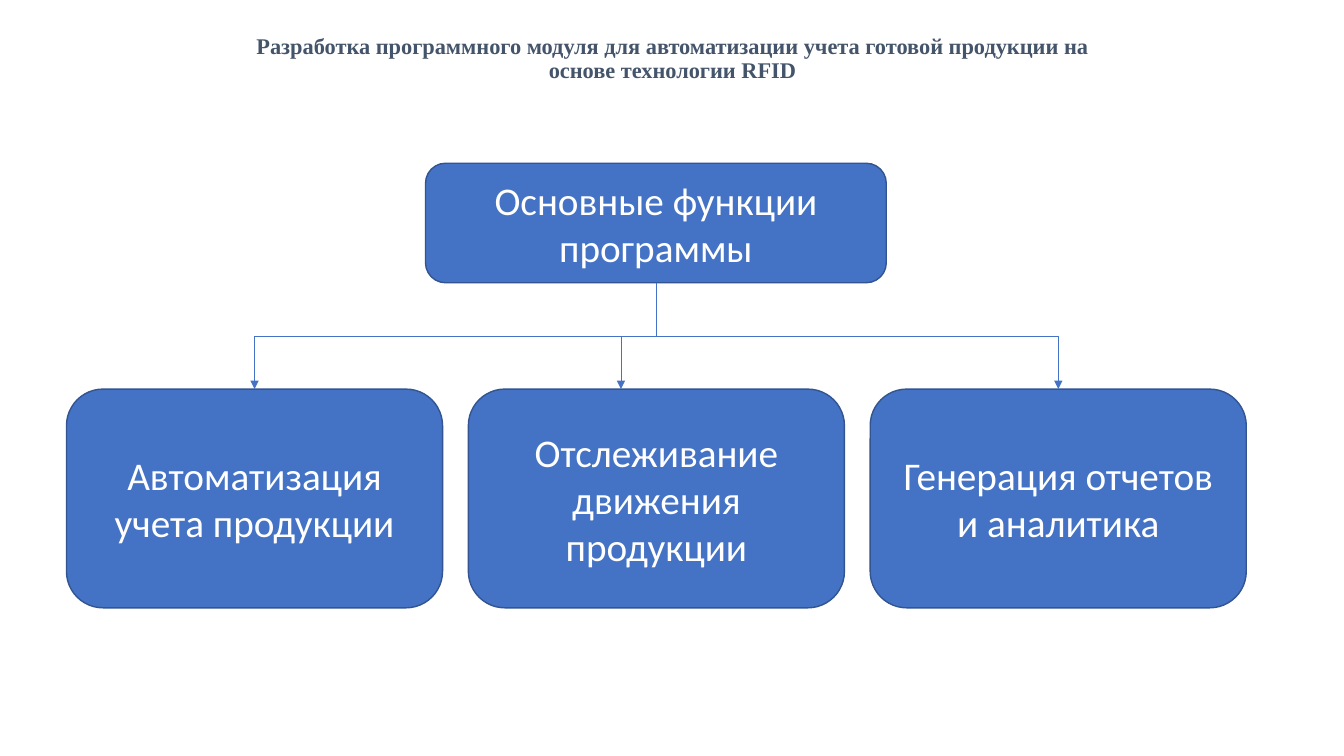
"""Build the slide on the main functions of the RFID product accounting program."""
from dataclasses import dataclass

from lxml.etree import SubElement
from pptx import Presentation
from pptx.dml.color import RGBColor
from pptx.enum.shapes import MSO_CONNECTOR as Connector, MSO_SHAPE as Preset
from pptx.enum.text import MSO_ANCHOR as Anchor, MSO_AUTO_SIZE as AutoSize, PP_ALIGN as Align
from pptx.oxml.ns import qn
from pptx.slide import Slide
from pptx.text.text import TextFrame
from pptx.util import Inches, Pt

SLIDE_WIDTH, SLIDE_HEIGHT = Inches(13.33), Inches(7.5)
COLORS = {"heading": "44546A", "box": "4472C4", "outline": "325491", "label": "FFFFFF"}
QUARTER_TURN = 90 * 60000
CARD_LEFT, CARD_PITCH, CARD_WIDTH = 4.95, 29.9, 27.98
CARD_TOP, CARD_HEIGHT = 51.47, 28.93


@dataclass(frozen=True)
class Box:
    """A labelled area in percent of the slide's width and height."""
    text: str
    left: float
    top: float
    width: float
    height: float

    @property
    def center(self) -> float:
        return self.left + self.width / 2

    @property
    def bottom(self) -> float:
        return self.top + self.height

    def frame(self) -> tuple[int, int, int, int]:
        return across(self.left), down(self.top), across(self.width), down(self.height)


@dataclass(frozen=True)
class Function:
    """A program function and the shift of its arrow from the card's center."""
    text: str
    arrow_shift: float = 0


HEADING = Box(
    "Разработка программного модуля для автоматизации учета готовой продукции "
    "на основе технологии RFID", 16.28, 3.73, 67.52, 8.13)
ROOT = Box("Основные функции программы", 31.66, 21.6, 34.28, 15.8)
FUNCTIONS = (
    Function("Автоматизация учета продукции"),
    Function("Отслеживание движения продукции", -2.64),
    Function("Генерация отчетов и аналитика"),
)


def across(percent: float) -> int:
    """Turn a share of the slide's width into a length."""
    return round(SLIDE_WIDTH * percent / 100)


def down(percent: float) -> int:
    """Turn a share of the slide's height into a length."""
    return round(SLIDE_HEIGHT * percent / 100)


def rgb(role: str) -> RGBColor:
    """Look up a color by its role."""
    return RGBColor.from_string(COLORS[role])


def write(frame: TextFrame, text: str, font_name: str, size: int, role: str, bold: bool) -> None:
    """Fill a text frame with one centered paragraph."""
    frame.text = text
    frame.word_wrap = True
    frame.auto_size = AutoSize.NONE
    frame.vertical_anchor = Anchor.MIDDLE
    paragraph = frame.paragraphs[0]
    paragraph.alignment = Align.CENTER
    font = paragraph.font
    font.name, font.size, font.bold = font_name, Pt(size), bold
    font.color.rgb = rgb(role)


def draw_heading(slide: Slide) -> None:
    """Place and format the slide's title."""
    heading = slide.shapes.title
    heading.left, heading.top, heading.width, heading.height = HEADING.frame()
    write(heading.text_frame, HEADING.text, "Times New Roman", 16, "heading", True)
    heading.text_frame.paragraphs[0].line_spacing = 0.9


def draw_box(slide: Slide, box: Box) -> None:
    """Draw a rounded box with its label."""
    card = slide.shapes.add_shape(Preset.ROUNDED_RECTANGLE, *box.frame())
    card.shadow.inherit = False
    card.fill.solid()
    card.fill.fore_color.rgb = rgb("box")
    card.line.color.rgb = rgb("outline")
    card.line.width = Pt(1)
    write(card.text_frame, box.text, "Calibri", 28, "label", False)


def draw_branch(slide: Slide, target: float) -> None:
    """Draw a bent arrow from the root box down to the cards' top edge."""
    start_x, end_x = across(ROOT.center), across(target)
    start_y, end_y = down(ROOT.bottom), down(CARD_TOP)
    middle_x, middle_y = (start_x + end_x) // 2, (start_y + end_y) // 2
    leftward = end_x < start_x
    half_drop = (end_y - start_y) // 2 * (1 if leftward else -1)
    half_reach = abs(end_x - start_x) // 2
    branch = slide.shapes.add_connector(
        Connector.ELBOW, middle_x - half_drop, middle_y - half_reach,
        middle_x + half_drop, middle_y + half_reach)
    branch.line.color.rgb = rgb("box")
    branch.line.width = Pt(0.5)
    properties = branch._element.spPr
    turns = 1 if leftward else 3
    properties.find(qn("a:xfrm")).set("rot", str(turns * QUARTER_TURN))
    SubElement(properties.find(qn("a:ln")), qn("a:tailEnd"), type="triangle")
    SubElement(properties, qn("a:effectLst"))


def main() -> None:
    """Assemble and save the slide."""
    deck = Presentation()
    deck.slide_width, deck.slide_height = SLIDE_WIDTH, SLIDE_HEIGHT
    slide = deck.slides.add_slide(deck.slide_layouts.get_by_name("Title Only"))
    draw_heading(slide)
    draw_box(slide, ROOT)
    for column, function in enumerate(FUNCTIONS):
        card = Box(function.text, CARD_LEFT + column * CARD_PITCH, CARD_TOP,
                   CARD_WIDTH, CARD_HEIGHT)
        draw_box(slide, card)
        draw_branch(slide, card.center + function.arrow_shift)
    deck.save("out.pptx")


if __name__ == "__main__":
    main()
